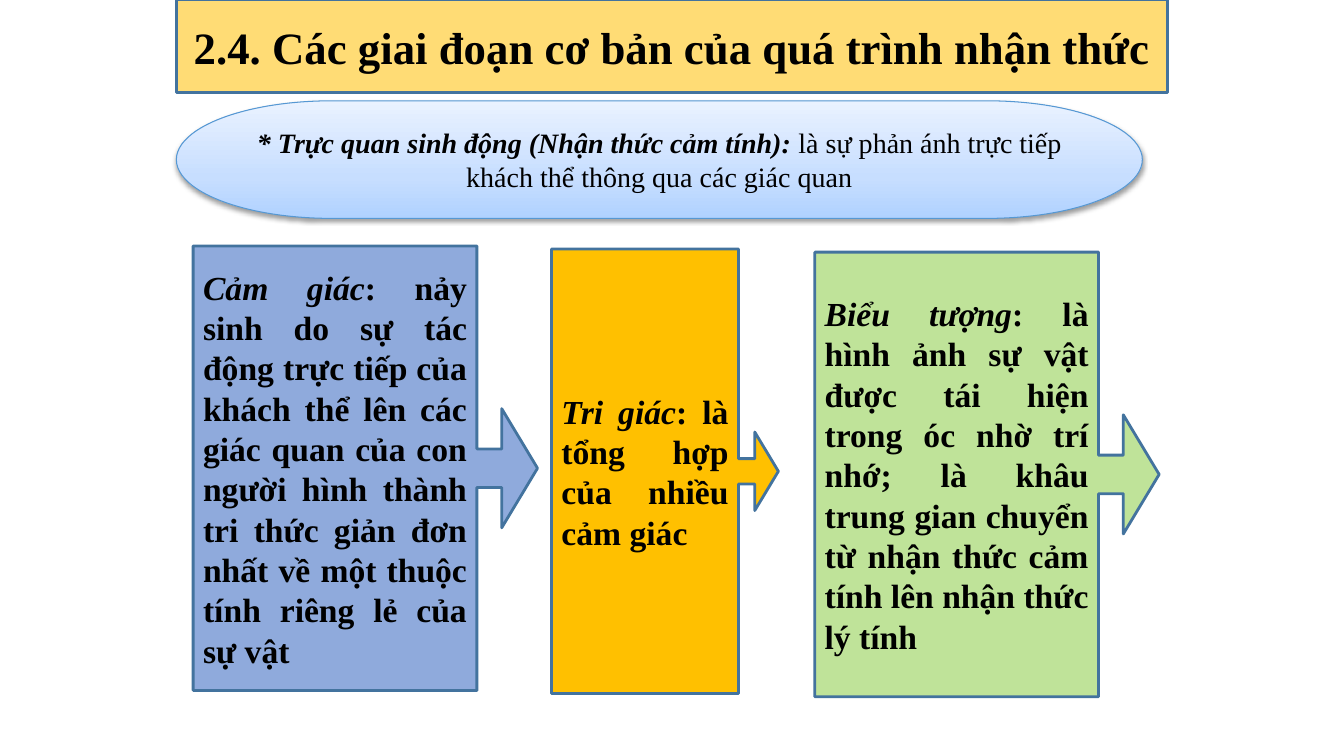
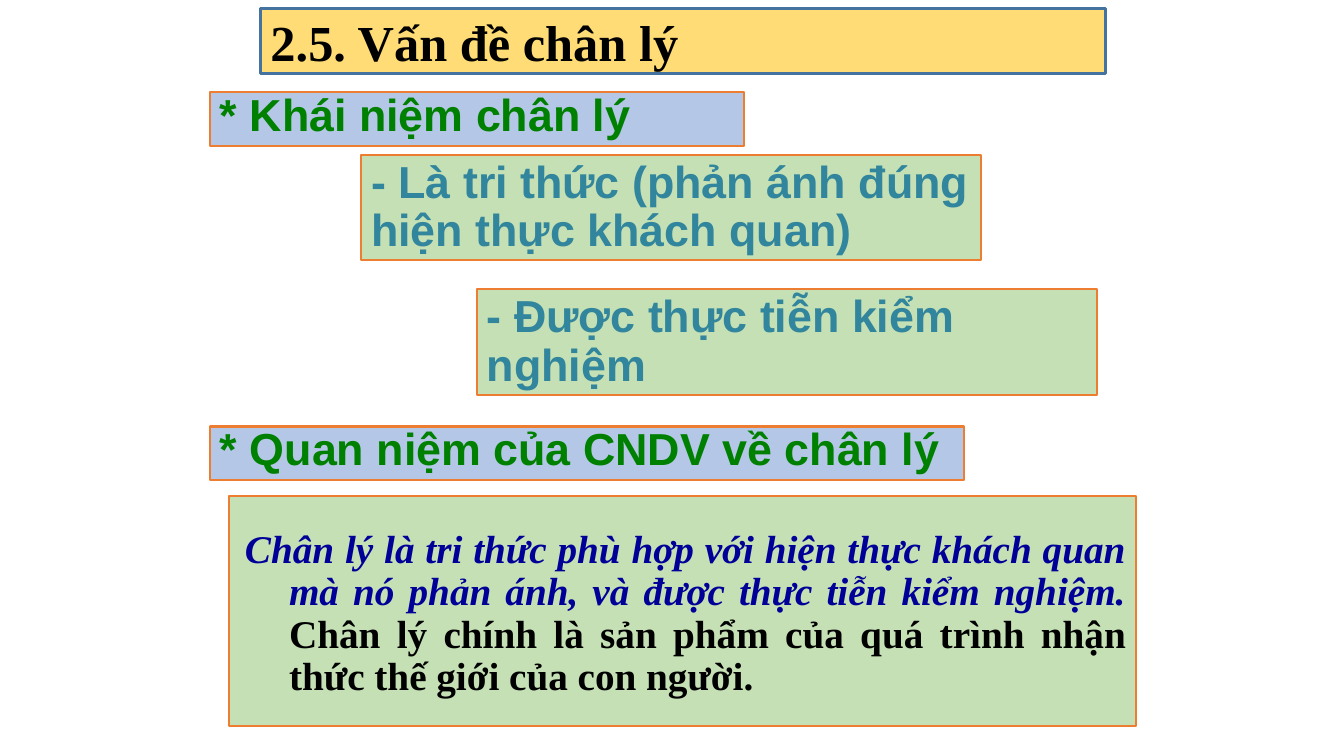
from lxml import etree
from pptx import Presentation
from pptx.dml.color import RGBColor
from pptx.enum.shapes import MSO_SHAPE as SHAPE
from pptx.enum.text import MSO_ANCHOR as ANCHOR, MSO_AUTO_SIZE, PP_ALIGN as ALIGN
from pptx.oxml.ns import qn
from pptx.util import Pt

SERIF, SANS = "Times New Roman", "Arial"
BLACK, GREEN, TEAL, NAVY = "000000", "008000", "31859C", "000099"
STEEL, ORANGE, SKY = "43739E", "ED7D31", "5698D3"
GOLD, BLUE, LIGHT_GREEN = "FFD966", "B4C7E7", "C5E0B4"


def rgb(color):
    return RGBColor.from_string(color)


def add_xml(parent, tag, **attrs):
    return etree.SubElement(parent, qn(tag), {k: str(v) for k, v in attrs.items()})


class Deck:
    """Holds the presentation, its shared style and the current slide."""

    def __init__(self):
        self.prs = Presentation()
        self.prs.slide_width, self.prs.slide_height = Pt(960), Pt(540)
        self.s = None

    def new_slide(self):
        self.s = self.prs.slides.add_slide(self.prs.slide_layouts[5])

    def paint(self, sp, fill, line, width, opacity=100):
        sp.fill.solid()
        sp.fill.fore_color.rgb = rgb(fill)
        if opacity < 100:
            clr = sp.element.spPr.find(qn("a:solidFill")).find(qn("a:srgbClr"))
            add_xml(clr, "a:alpha", val=opacity * 1000)
        self.outline(sp, line, width)

    def outline(self, sp, color, width):
        sp.line.color.rgb = rgb(color)
        sp.line.width = Pt(width)

    def add_text(self, sp, runs, size, font=SERIF, align=ALIGN.LEFT,
                 anchor=ANCHOR.MIDDLE):
        """Fill one paragraph; each run is (text, color, bold, italic)."""
        tf = sp.text_frame
        tf.word_wrap = True
        tf.auto_size = MSO_AUTO_SIZE.NONE
        tf.vertical_anchor = anchor
        p = tf.paragraphs[0]
        p.alignment = align
        for text, color, bold, italic in runs:
            r = p.add_run()
            r.text = text
            r.font.name, r.font.size = font, Pt(size)
            r.font.bold, r.font.italic = bold, italic
            r.font.color.rgb = rgb(color)
        return p

    def shape(self, kind, box):
        sp = self.s.shapes.add_shape(kind, *map(Pt, box))
        sp.shadow.inherit = False
        return sp

    def title(self, text, box, size, align):
        """Turn the title placeholder into the rounded gold band."""
        sp = self.s.shapes.title
        sp.left, sp.top, sp.width, sp.height = map(Pt, box)
        geom = add_xml(sp.element.spPr, "a:prstGeom", prst="roundRect")
        add_xml(geom, "a:avLst")
        self.paint(sp, GOLD, STEEL, 2, opacity=90)
        self.add_text(sp, [(text, BLACK, True, False)], size, align=align)

    def definition(self, term, text, box):
        """Glossy pill with a soft shadow."""
        sp = self.shape(SHAPE.FLOWCHART_TERMINATOR, box)
        sp.fill.gradient()
        sp.fill.gradient_angle = 90
        stops = sp.element.spPr.find(qn("a:gradFill")).find(qn("a:gsLst"))
        stops.clear()
        for pos, color in ((0, "B0D2FF"), (35, "C7DEFF"), (100, "EAF2FF")):
            add_xml(add_xml(stops, "a:gs", pos=pos * 1000), "a:srgbClr", val=color)
        self.outline(sp, SKY, 0.75)
        shadow = add_xml(sp.element.spPr.find(qn("a:effectLst")), "a:outerShdw",
                         blurRad=Pt(3.1), dist=Pt(1.6), dir=90 * 60000, rotWithShape=0)
        add_xml(add_xml(shadow, "a:srgbClr", val=BLACK), "a:alpha", val=38000)
        self.add_text(sp, [(term, BLACK, True, True), (text, BLACK, False, False)],
                      20, align=ALIGN.CENTER)

    def stage(self, term, text, box, fill, opacity=100):
        """Callout whose arrow points to the next stage."""
        sp = self.shape(SHAPE.RIGHT_ARROW_CALLOUT, box)
        for i, value in enumerate((0.112, 0.173, 0.104, 0.824)):
            sp.adjustments[i] = value
        self.paint(sp, fill, STEEL, 2, opacity)
        self.add_text(sp, [(term, BLACK, True, True), (text, BLACK, True, False)],
                      24, align=ALIGN.JUSTIFY)

    def panel(self, runs, box, fill, size, **style):
        sp = self.shape(SHAPE.RECTANGLE, box)
        self.paint(sp, fill, ORANGE, 1.5)
        p = self.add_text(sp, runs, size, **style)
        p.line_spacing, p.space_before = 0.9, Pt(10)
        return sp

    def heading(self, text, top, width):
        self.panel([(text, GREEN, True, False)], (150, top, width, 38.4), BLUE, 32,
                   font=SANS, align=ALIGN.JUSTIFY, anchor=ANCHOR.BOTTOM)

    def point(self, text, left, top):
        self.panel([(text, TEAL, True, False)], (left, top, 442.8, 75.6), LIGHT_GREEN,
                   32, font=SANS, anchor=ANCHOR.TOP)

    def conclusion(self, runs, box):
        """Justified panel with a hanging indent."""
        sp = self.panel(runs, box, LIGHT_GREEN, 28, align=ALIGN.JUSTIFY,
                        anchor=ANCHOR.TOP)
        sp.text_frame.margin_top = Pt(24)
        pPr = sp.text_frame.paragraphs[0]._p.get_or_add_pPr()
        pPr.set("marL", str(Pt(36)))
        pPr.set("indent", str(Pt(-31.5)))


def stages_slide(deck):
    deck.new_slide()
    deck.title("2.4. Các giai đoạn cơ bản của quá trình nhận thức",
               (126, 0, 708, 66), 32, ALIGN.CENTER)
    deck.definition("* Trực quan sinh động (Nhận thức cảm tính):",
                    " là sự phản ánh trực tiếp khách thể thông qua các giác quan",
                    (126, 72, 690, 84))
    stages = (
        ("Cảm giác", ": nảy sinh do sự tác động trực tiếp của khách thể lên các giác "
         "quan của con người hình thành tri thức giản đơn nhất về một thuộc tính "
         "riêng lẻ của sự vật", 138, 246, "8FAADC", 100),
        ("Tri giác", ": là tổng hợp của nhiều cảm giác", 394, 162, "FFC000", 100),
        ("Biểu tượng", ": là hình ảnh sự vật được tái hiện trong óc nhờ trí nhớ; là "
         "khâu trung gian chuyển từ nhận thức cảm tính lên nhận thức lý tính",
         582, 246, "92D050", 58),
    )
    for i, (term, text, left, width, fill, opacity) in enumerate(stages):
        deck.stage(term, text, (left, 175.7 + 2.2 * i, width, 317.5), fill, opacity)


def truth_slide(deck):
    deck.new_slide()
    deck.title("2.5. Vấn đề chân lý", (186, 6, 603.4, 46.8), 36, ALIGN.LEFT)
    deck.heading("* Khái niệm chân lý", 66, 381.6)
    deck.point("- Là tri thức (phản ánh đúng hiện thực khách quan)", 258, 110.4)
    deck.point("- Được thực tiễn kiểm nghiệm", 340.6, 206.6)
    deck.heading("* Quan niệm của CNDV về chân lý", 304.6, 538.6)
    deck.conclusion([
        ("Chân lý là tri thức phù hợp với hiện thực khách quan mà nó phản ánh, và được "
         "thực tiễn kiểm nghiệm. ", NAVY, True, True),
        ("Chân lý chính là sản phẩm của quá trình nhận thức thế giới của con người.",
         BLACK, True, False),
    ], (163.4, 354.2, 648, 164.2))


def main():
    deck = Deck()
    stages_slide(deck)
    truth_slide(deck)
    deck.prs.save("out.pptx")


if __name__ == "__main__":
    main()
